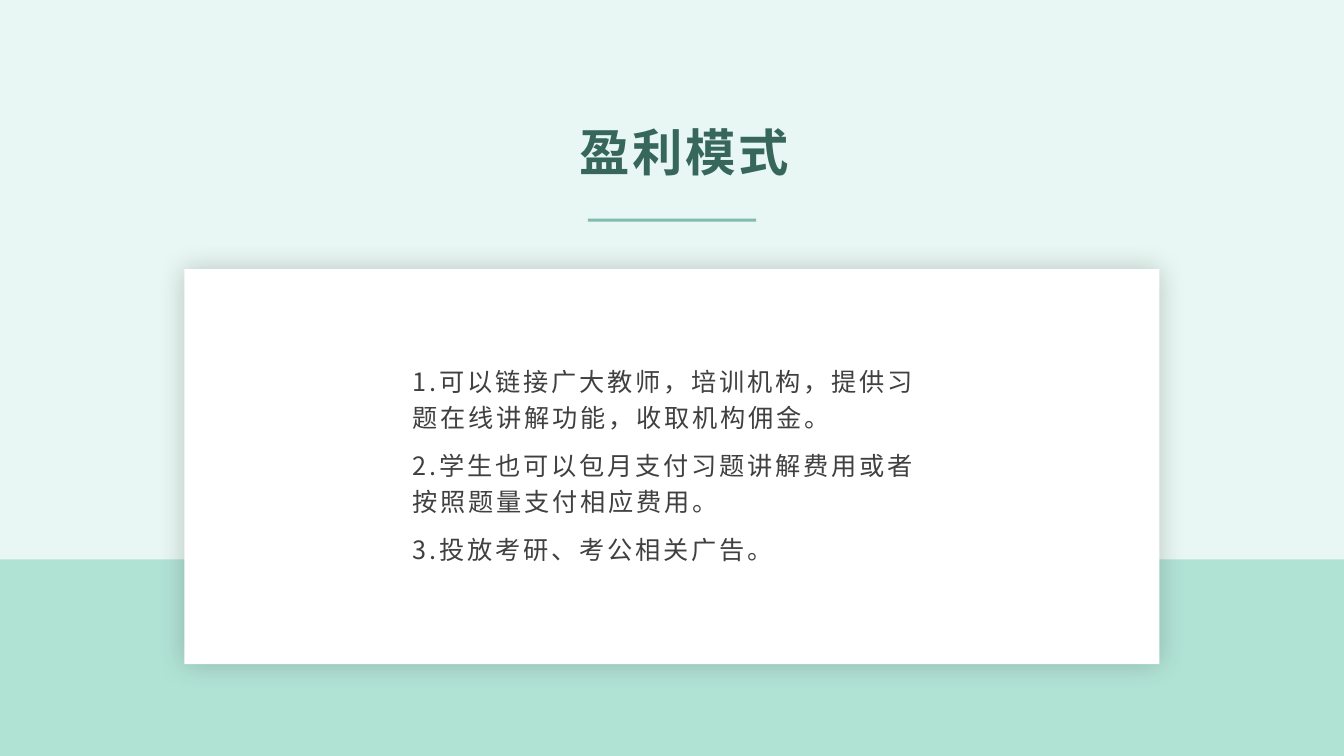
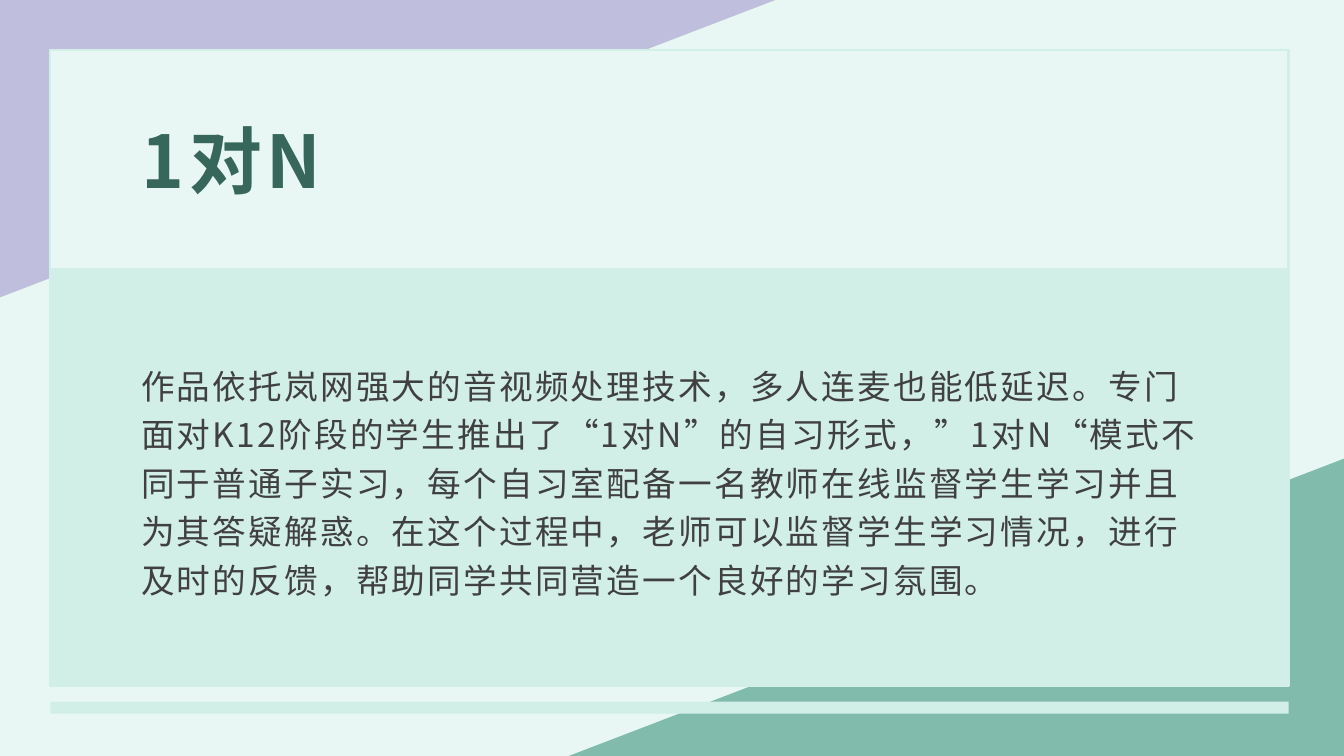
from dataclasses import dataclass

from lxml.etree import SubElement
from pptx import Presentation
from pptx.dml.color import RGBColor
from pptx.enum.shapes import MSO_SHAPE
from pptx.enum.text import MSO_ANCHOR, MSO_AUTO_SIZE, PP_ALIGN
from pptx.oxml.ns import qn
from pptx.util import Inches, Pt


@dataclass(frozen=True)
class TextStyle:
    size: float
    color: str
    letter_spacing: float
    bold: bool = False
    align: PP_ALIGN = PP_ALIGN.LEFT
    line_spacing: float = 1.0
    space_after: float = 0


class Theme:
    font = "Noto Sans CJK SC"
    background = "E8F7F3"
    pale_mint = "D2EFE7"
    mint = "B1E3D5"
    teal = "80BBAC"
    purple = "9B8DC9"
    white = "FFFFFF"
    black = "000000"
    dark_green = "37675A"
    gray = "404040"
    card_title = TextStyle(36, dark_green, 2, bold=True, align=PP_ALIGN.CENTER)
    card_body = TextStyle(18, gray, 2, line_spacing=1.2, space_after=8)
    panel_title = TextStyle(52, dark_green, 3.6, bold=True)
    panel_body = TextStyle(24, gray, 1.6, line_spacing=1.2, space_after=8)


SLIDE_WIDTH, SLIDE_HEIGHT = 13.33, 7.5

PROFIT_TITLE = "盈利模式"
PROFIT_POINTS = [
    "1.可以链接广大教师，培训机构，提供习题在线讲解功能，收取机构佣金。",
    "2.学生也可以包月支付习题讲解费用或者按照题量支付相应费用。",
    "3.投放考研、考公相关广告。",
]
STUDY_TITLE = "1对N"
STUDY_TEXT = [
    "作品依托岚网强大的音视频处理技术，多人连麦也能低延迟。"
    "专门面对K12阶段的学生推出了“1对N”的自习形式，”1对N“模式不同于普通子实习，"
    "每个自习室配备一名教师在线监督学生学习并且为其答疑解惑。"
    "在这个过程中，老师可以监督学生学习情况，进行及时的反馈，"
    "帮助同学共同营造一个良好的学习氛围。",
]


def rgb(color):
    return RGBColor.from_string(color)


def set_fill(shape, color):
    shape.shadow.inherit = False
    shape.fill.solid()
    shape.fill.fore_color.rgb = rgb(color)
    shape.line.fill.background()


def add_alpha(color_element, percent):
    SubElement(color_element, qn("a:alpha"), val=str(percent * 1000))


def add_rectangle(slide, box, color, outline=None):
    shape = slide.shapes.add_shape(MSO_SHAPE.RECTANGLE, *map(Inches, box))
    set_fill(shape, color)
    if outline:
        shape.line.color.rgb = rgb(outline)
        shape.line.width = Pt(1.5)
    return shape


def add_glow_shadow(shape, color, alpha, blur):
    """Surround the shape with an even, undirected soft shadow."""
    effects = shape.element.spPr.find(qn("a:effectLst"))
    shadow = SubElement(effects, qn("a:outerShdw"), blurRad=str(Pt(blur)),
                        dist="0", dir="0", algn="ctr", rotWithShape="0")
    add_alpha(SubElement(shadow, qn("a:srgbClr"), val=color), alpha)


def add_triangle(slide, points, color, alpha=100):
    start, *others = [tuple(map(Inches, point)) for point in points]
    builder = slide.shapes.build_freeform(*start)
    builder.add_line_segments(others, close=True)
    shape = builder.convert_to_shape()
    set_fill(shape, color)
    if alpha < 100:
        add_alpha(shape.element.spPr.find(".//" + qn("a:srgbClr")), alpha)


def format_run(run, style):
    run.font.name = Theme.font
    run.font.size = Pt(style.size)
    run.font.bold = style.bold
    run.font.color.rgb = rgb(style.color)
    properties = run.font._element
    properties.set("lang", "zh-CN")
    properties.set("spc", str(round(style.letter_spacing * 100)))
    latin = properties.find(qn("a:latin"))
    east_asian = SubElement(properties, qn("a:ea"), typeface=Theme.font)
    latin.addnext(east_asian)


def fill_placeholder(placeholder, box, texts, style):
    """Place the text in front of the shapes drawn so far."""
    placeholder.left, placeholder.top, placeholder.width, placeholder.height = map(Inches, box)
    placeholder.element.getparent().append(placeholder.element)
    frame = placeholder.text_frame
    frame.text = "\n".join(texts)
    frame.word_wrap = True
    frame.auto_size = MSO_AUTO_SIZE.NONE
    frame.vertical_anchor = MSO_ANCHOR.MIDDLE
    frame.margin_left = frame.margin_right = Inches(0.07)
    frame.margin_top = frame.margin_bottom = Inches(0.03)
    for paragraph in frame.paragraphs:
        paragraph.alignment = style.align
        paragraph.line_spacing = style.line_spacing
        paragraph.space_before = Pt(0)
        paragraph.space_after = Pt(style.space_after)
        properties = paragraph._p.get_or_add_pPr()
        properties.set("marL", "0")
        properties.set("indent", "0")
        SubElement(properties, qn("a:buNone"))
        for run in paragraph.runs:
            format_run(run, style)


def add_slide(presentation):
    return presentation.slides.add_slide(presentation.slide_layouts.get_by_name("Title and Content"))


def build_profit_slide(presentation):
    slide = add_slide(presentation)
    band_top = 5.55
    add_rectangle(slide, (0, band_top, SLIDE_WIDTH, SLIDE_HEIGHT - band_top), Theme.mint)
    card = add_rectangle(slide, (1.83, 2.67, 9.67, 3.92), Theme.white)
    add_glow_shadow(card, Theme.black, alpha=20, blur=20)
    add_rectangle(slide, (5.83, 2.17, 1.67, 0.03), Theme.teal)
    fill_placeholder(slide.shapes.title, (1.95, 0.84, 9.67, 1.33), [PROFIT_TITLE], Theme.card_title)
    fill_placeholder(slide.placeholders[1], (4.02, 3.5, 5.29, 2.17), PROFIT_POINTS, Theme.card_body)


def build_study_slide(presentation):
    slide = add_slide(presentation)
    corner_width, corner_height = 7.69, 2.95
    add_triangle(slide, [(SLIDE_WIDTH, SLIDE_HEIGHT - corner_height), (SLIDE_WIDTH, SLIDE_HEIGHT),
                         (SLIDE_WIDTH - corner_width, SLIDE_HEIGHT)], Theme.teal)
    add_triangle(slide, [(0, 0), (corner_width, 0), (0, corner_height)], Theme.purple, alpha=53)

    left, width = 0.5, 12.28
    header_top, body_top, body_bottom = 0.5, 2.67, 6.81
    add_rectangle(slide, (left, 6.96, width, 0.12), Theme.pale_mint)
    for top, bottom, color in [(header_top, body_top, Theme.background),
                               (body_top, body_bottom, Theme.pale_mint)]:
        add_rectangle(slide, (left, top, width, bottom - top), color, outline=Theme.pale_mint)

    text_left, text_width = 1.33, 10.67
    fill_placeholder(slide.shapes.title, (text_left, 0.83, text_width, 1.5),
                     [STUDY_TITLE], Theme.panel_title)
    fill_placeholder(slide.placeholders[1], (text_left, 3, text_width, 3.5),
                     STUDY_TEXT, Theme.panel_body)


def main():
    presentation = Presentation()
    presentation.slide_width = Inches(SLIDE_WIDTH)
    presentation.slide_height = Inches(SLIDE_HEIGHT)
    background = presentation.slide_master.background.fill
    background.solid()
    background.fore_color.rgb = rgb(Theme.background)
    build_profit_slide(presentation)
    build_study_slide(presentation)
    presentation.save("out.pptx")


if __name__ == "__main__":
    main()
